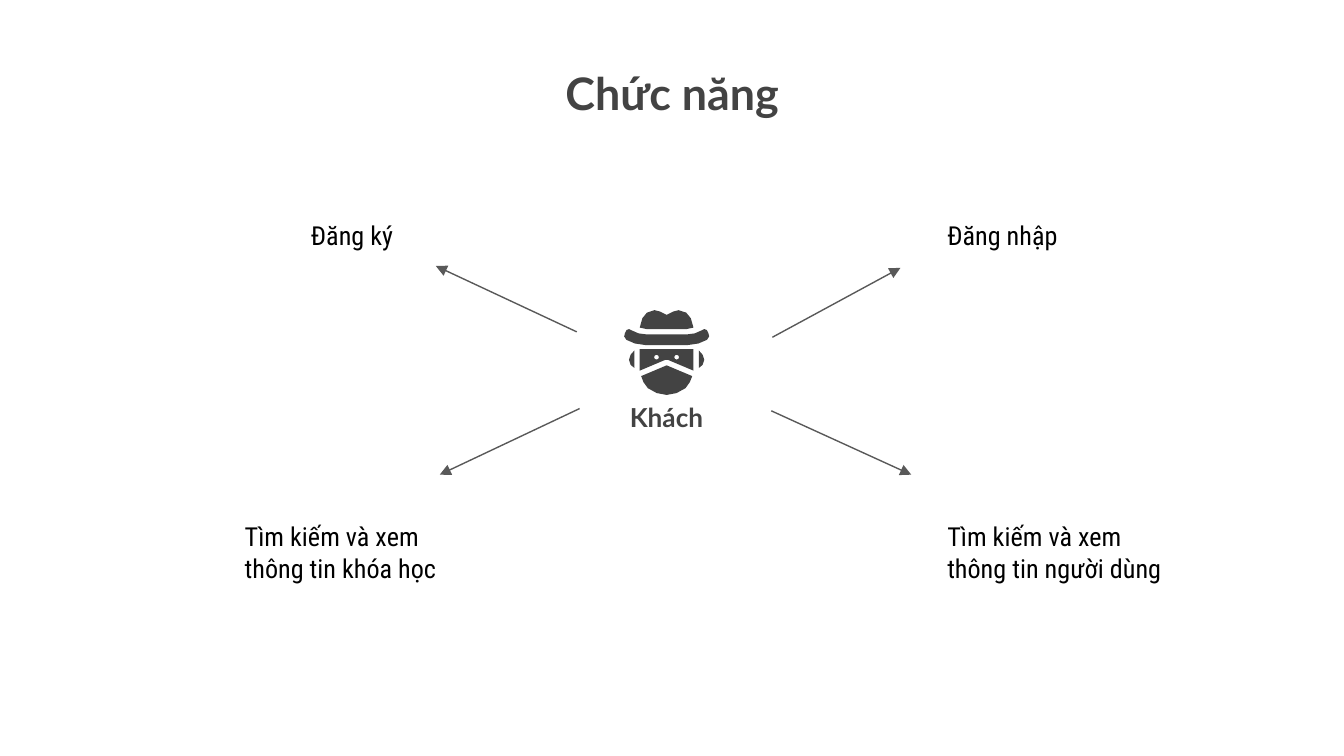
from math import cos, pi, sin

from lxml.etree import SubElement
from pptx import Presentation
from pptx.dml.color import RGBColor
from pptx.enum.shapes import MSO_CONNECTOR
from pptx.enum.text import MSO_ANCHOR, PP_ALIGN
from pptx.oxml.ns import qn
from pptx.util import Pt

COLORS = {"dark": "434343", "black": "000000", "arrow": "595959"}
HEADING = {"name": "Lato", "bold": True, "color": "dark", "align": PP_ALIGN.CENTER}
FEATURE = {"name": "Roboto Condensed", "bold": False, "color": "black", "align": PP_ALIGN.LEFT}
TOP, BOTTOM = MSO_ANCHOR.TOP, MSO_ANCHOR.BOTTOM

ICON_LEFT, ICON_TOP, ICON_UNIT, ICON_AXIS = 334.1, 166.2, 0.72, 32


def trace(steps):
    points = [steps[0]]
    for step in steps[1:]:
        if len(step) == 2:
            points.append(step)
            continue
        anchors = [points[-1], step[:2], step[2:4], step[4:]]
        for t in (0.5, 1):
            weights = ((1 - t) ** 3, 3 * t * (1 - t) ** 2, 3 * t * t * (1 - t), t ** 3)
            points.append(tuple(sum(w * a[axis] for w, a in zip(weights, anchors)) for axis in (0, 1)))
    return points


def place(outline):
    return [(Pt(ICON_LEFT + x * ICON_UNIT), Pt(ICON_TOP + y * ICON_UNIT)) for x, y in outline]


prs = Presentation()
prs.slide_width, prs.slide_height = Pt(720), Pt(405)
slide = prs.slides.add_slide(prs.slide_layouts[6])

labels = [
    ("Chức năng", 154.9, 28.1, 410.4, 47.5, 24, TOP, HEADING),
    ("Khách", 320, 205.2, 74.2, 33.8, 14, BOTTOM, HEADING),
    ("Tìm kiếm và xem thông tin người dùng", 500.4, 271.7, 141.8, 43.9, 14, TOP, FEATURE),
    ("Tìm kiếm và xem thông tin khóa học", 124, 271.7, 118.8, 43.9, 14, TOP, FEATURE),
    ("Đăng ký", 159.5, 110.2, 74.2, 29.5, 14, TOP, FEATURE),
    ("Đăng nhập", 500.4, 110.2, 86.4, 29.5, 14, TOP, FEATURE),
]
for wording, left, top, width, height, size, anchor, style in labels:
    frame = slide.shapes.add_textbox(Pt(left), Pt(top), Pt(width), Pt(height)).text_frame
    frame_format = {"word_wrap": True, "vertical_anchor": anchor}
    frame_format.update({f"margin_{side}": Pt(7.2) for side in ("left", "top", "right", "bottom")})
    for attribute, value in frame_format.items():
        setattr(frame, attribute, value)
    paragraph = frame.paragraphs[0]
    paragraph.alignment = style["align"]
    run = paragraph.add_run()
    run.text = wording
    for attribute, value in {"name": style["name"], "bold": style["bold"], "size": Pt(size)}.items():
        setattr(run.font, attribute, value)
    run.font.color.rgb = RGBColor.from_string(COLORS[style["color"]])

half_outlines = {
    "crown": [(32, 3.5), (27, 1), (23, 0), (19, 0, 15, 3, 14, 6), (12, 13), (17, 14)],
    "brim": [(32, 18), (17, 18), (12, 18, 10, 17, 6, 15), (4, 14), (3, 14, 1, 15, 1, 17),
             (0, 18, 0, 21, 2, 22), (6, 24, 10, 26, 17, 26)],
    "face": [(17, 29), (12, 29), (12, 45), (31, 37)],
    "mask": [(32, 41), (13, 49), (13, 52, 16, 55, 18, 58), (22, 61, 27, 63, 32, 63)],
}
left_ear = trace([(8, 30), (6, 32, 4, 34, 4, 37), (4, 40, 6, 42, 8, 43)])
outlines = {"left ear": left_ear, "right ear": [(2 * ICON_AXIS - x, y) for x, y in left_ear]}
for part, steps in half_outlines.items():
    half = trace(steps)
    mirrored = [(2 * ICON_AXIS - x, y) for x, y in reversed(half) if (x, y) != half[0] or x != ICON_AXIS]
    outlines[part] = half + [point for point in mirrored if point != half[-1]]
eyes = [[(x + 1.8 * cos(i * pi / 4), 35 + 1.8 * sin(i * pi / 4)) for i in range(8)]
        for x in (ICON_AXIS - 7.5, ICON_AXIS + 7.5)]

guest = slide.shapes.add_group_shape()
for part, outline in outlines.items():
    points = place(outline)
    builder = guest.shapes.build_freeform(*points[0])
    builder.add_line_segments(points[1:], close=True)
    for eye in eyes if part == "face" else []:
        rim = place(eye)
        builder.move_to(*rim[0])
        builder.add_line_segments(rim[1:], close=True)
    shape = builder.convert_to_shape()
    shape.fill.solid()
    shape.fill.fore_color.rgb = RGBColor.from_string(COLORS["dark"])
    shape.line.fill.background()
    shape.shadow.inherit = False

arrows = [
    (310.5, 218.9, 235.6, 254.3),
    (413.2, 220.1, 488.2, 254.3),
    (309, 177.8, 233.5, 142.5),
    (413.8, 180.7, 482.4, 143.5),
]
for ends in arrows:
    arrow = slide.shapes.add_connector(MSO_CONNECTOR.STRAIGHT, *map(Pt, ends))
    arrow.line.width = Pt(0.75)
    arrow.line.color.rgb = RGBColor.from_string(COLORS["arrow"])
    properties = arrow._element.spPr
    SubElement(properties.find(qn("a:ln")), qn("a:tailEnd"), type="triangle", w="med", len="med")
    SubElement(properties, qn("a:effectLst"))

prs.save("out.pptx")
